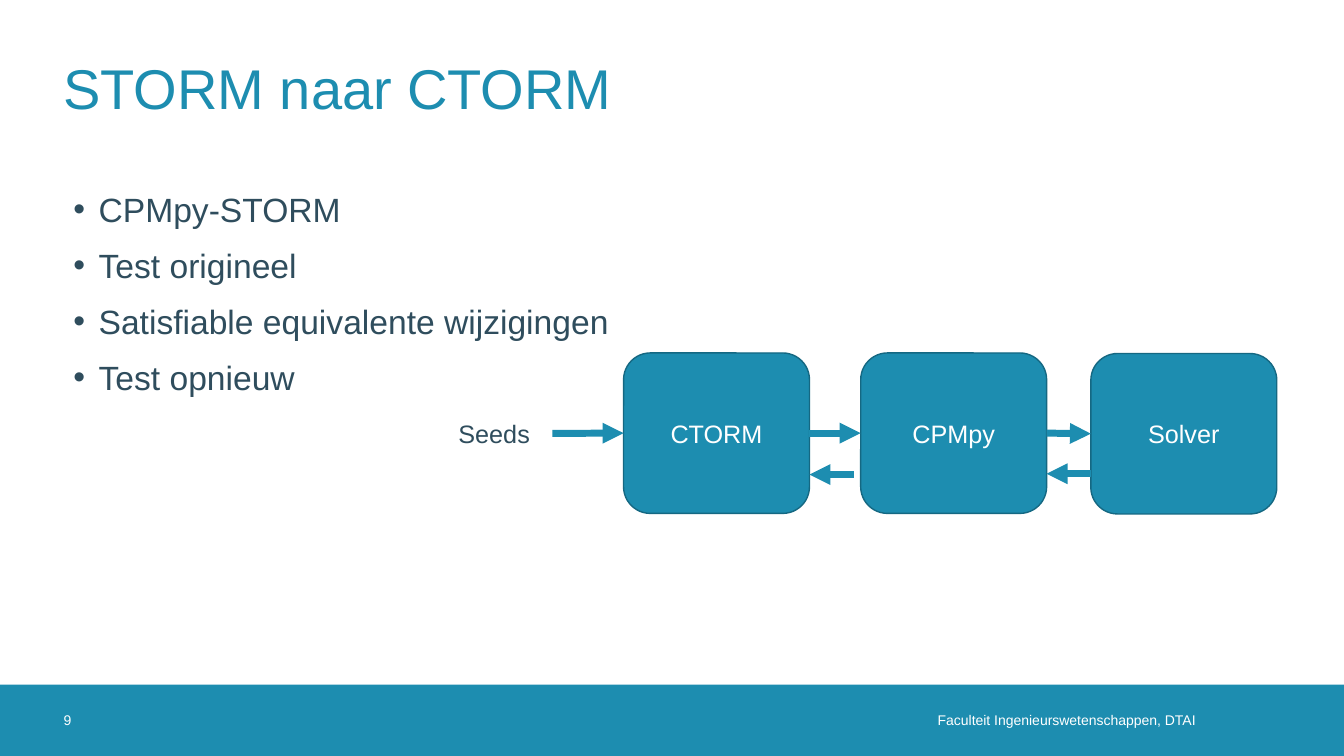
from dataclasses import dataclass

from lxml.etree import SubElement
from pptx import Presentation
from pptx.dml.color import RGBColor
from pptx.enum.shapes import MSO_CONNECTOR, MSO_SHAPE
from pptx.enum.text import MSO_ANCHOR, MSO_AUTO_SIZE, PP_ALIGN
from pptx.oxml.ns import qn
from pptx.util import Pt


@dataclass(frozen=True)
class Theme:
    """Colours, font and type sizes of the slide."""

    blue: RGBColor = RGBColor(0x1D, 0x8D, 0xB0)
    outline: RGBColor = RGBColor(0x15, 0x68, 0x82)
    dark: RGBColor = RGBColor(0x2F, 0x4D, 0x5D)
    white: RGBColor = RGBColor(0xFF, 0xFF, 0xFF)
    font: str = "Arial"
    title: int = 40
    body: int = 24
    label: int = 18
    footer: int = 10


THEME = Theme()
NO_INSETS = (0, 0, 0, 0)
TEXT_INSETS = (7.2, 3.6, 7.2, 3.6)
RIGHT, LEFT = 3, 1


def set_all(target, values):
    """Set each attribute of the target from a dict."""
    for name, value in values.items():
        setattr(target, name, value)


def style_paragraph(paragraph, text, size, color, align=PP_ALIGN.LEFT):
    """Write one paragraph in the theme font."""
    paragraph.text = text
    paragraph.alignment = align
    set_all(paragraph.font, {"size": Pt(size), "name": THEME.font})
    paragraph.font.color.rgb = color


def set_frame(frame, anchor, insets):
    """Set wrapping, anchor and insets of a text frame."""
    left, top, right, bottom = map(Pt, insets)
    set_all(frame, {
        "word_wrap": True, "vertical_anchor": anchor,
        "margin_left": left, "margin_top": top,
        "margin_right": right, "margin_bottom": bottom,
    })


def add_text(slide, box, text, size, color, align=PP_ALIGN.LEFT,
             anchor=MSO_ANCHOR.MIDDLE, insets=NO_INSETS):
    """Add a text box with one paragraph."""
    shape = slide.shapes.add_textbox(*map(Pt, box))
    set_frame(shape.text_frame, anchor, insets)
    style_paragraph(shape.text_frame.paragraphs[0], text, size, color, align)
    return shape


def add_bullets(slide, box, items):
    """Add a bulleted list."""
    frame = slide.shapes.add_textbox(*map(Pt, box)).text_frame
    set_frame(frame, MSO_ANCHOR.TOP, TEXT_INSETS)
    for index, item in enumerate(items):
        paragraph = frame.add_paragraph() if index else frame.paragraphs[0]
        properties = paragraph._p.get_or_add_pPr()
        properties.set("marL", str(Pt(18)))
        properties.set("indent", str(-Pt(18)))
        SubElement(properties, qn("a:buFont"), typeface=THEME.font)
        SubElement(properties, qn("a:buChar"), char="•")
        set_all(paragraph, {"space_before": Pt(10 if index else 0), "line_spacing": 1.04})
        style_paragraph(paragraph, item, THEME.body, THEME.dark)


def add_block(slide, kind, box, outline=None):
    """Add a blue preset shape with an optional outline."""
    shape = slide.shapes.add_shape(kind, *map(Pt, box))
    shape.shadow.inherit = False
    shape.fill.solid()
    shape.fill.fore_color.rgb = THEME.blue
    if outline is None:
        shape.line.fill.background()
    else:
        shape.line.color.rgb = outline
        shape.line.width = Pt(1)
    return shape


def add_stage(slide, name, left, top):
    """Add one rounded, labelled stage of the pipeline."""
    shape = add_block(slide, MSO_SHAPE.ROUNDED_RECTANGLE,
                      (left, top, 132.8, 114.6), THEME.outline)
    set_frame(shape.text_frame, MSO_ANCHOR.MIDDLE, TEXT_INSETS)
    style_paragraph(shape.text_frame.paragraphs[0], name, THEME.label,
                    THEME.white, PP_ALIGN.CENTER)
    return shape


def add_arrow(slide, start=(0, 0), end=(0, 0)):
    """Add a thick straight arrow."""
    connector = slide.shapes.add_connector(MSO_CONNECTOR.STRAIGHT, *map(Pt, start + end))
    connector.line.color.rgb = THEME.blue
    connector.line.width = Pt(5)
    SubElement(connector.line._get_or_add_ln(), qn("a:tailEnd"), type="triangle")
    SubElement(connector._element.spPr, qn("a:effectLst"))
    return connector


def join(slide, source, target):
    """Join the right side of one shape to the left side of the next."""
    arrow = add_arrow(slide)
    arrow.begin_connect(source, RIGHT)
    arrow.end_connect(target, LEFT)


def add_footer(slide):
    """Add the footer band with page number and faculty."""
    add_block(slide, MSO_SHAPE.RECTANGLE, (0, 489, 960, 51))
    add_text(slide, (475.2, 489, 393.1, 51), "Faculteit Ingenieurswetenschappen, DTAI",
             THEME.footer, THEME.white, PP_ALIGN.RIGHT, insets=(0, 0, 14.4, 0))
    add_text(slide, (45.4, 489, 51, 51), "9", THEME.footer, THEME.white)


def add_pipeline(slide):
    """Add the stages from seeds to solver with their arrows."""
    seeds = add_text(slide, (320.4, 295, 74.2, 29.1), "Seeds", THEME.label, THEME.dark,
                     anchor=MSO_ANCHOR.TOP, insets=TEXT_INSETS)
    seeds.text_frame.auto_size = MSO_AUTO_SIZE.SHAPE_TO_FIT_TEXT
    stages = [("CTORM", 445.4, 252.1), ("CPMpy", 614.8, 252.1), ("Solver", 779.2, 252.5)]
    chain = [seeds] + [add_stage(slide, *stage) for stage in stages]
    for source, target in zip(chain, chain[1:]):
        join(slide, source, target)
    for end_x, y in ((578.2, 339), (747.6, 338.4)):
        add_arrow(slide, (end_x + 31.6, y), (end_x, y))


def main():
    """Build and save the slide."""
    presentation = Presentation()
    set_all(presentation, {"slide_width": Pt(960), "slide_height": Pt(540)})
    slide = presentation.slides.add_slide(presentation.slide_layouts[6])
    add_footer(slide)
    add_text(slide, (45.4, 16.6, 869, 90.7), "STORM naar CTORM", THEME.title, THEME.blue)
    add_bullets(slide, (45.4, 130.3, 861.8, 351.4), [
        "CPMpy-STORM",
        "Test origineel",
        "Satisfiable equivalente wijzigingen",
        "Test opnieuw",
    ])
    add_pipeline(slide)
    presentation.save("out.pptx")


if __name__ == "__main__":
    main()
